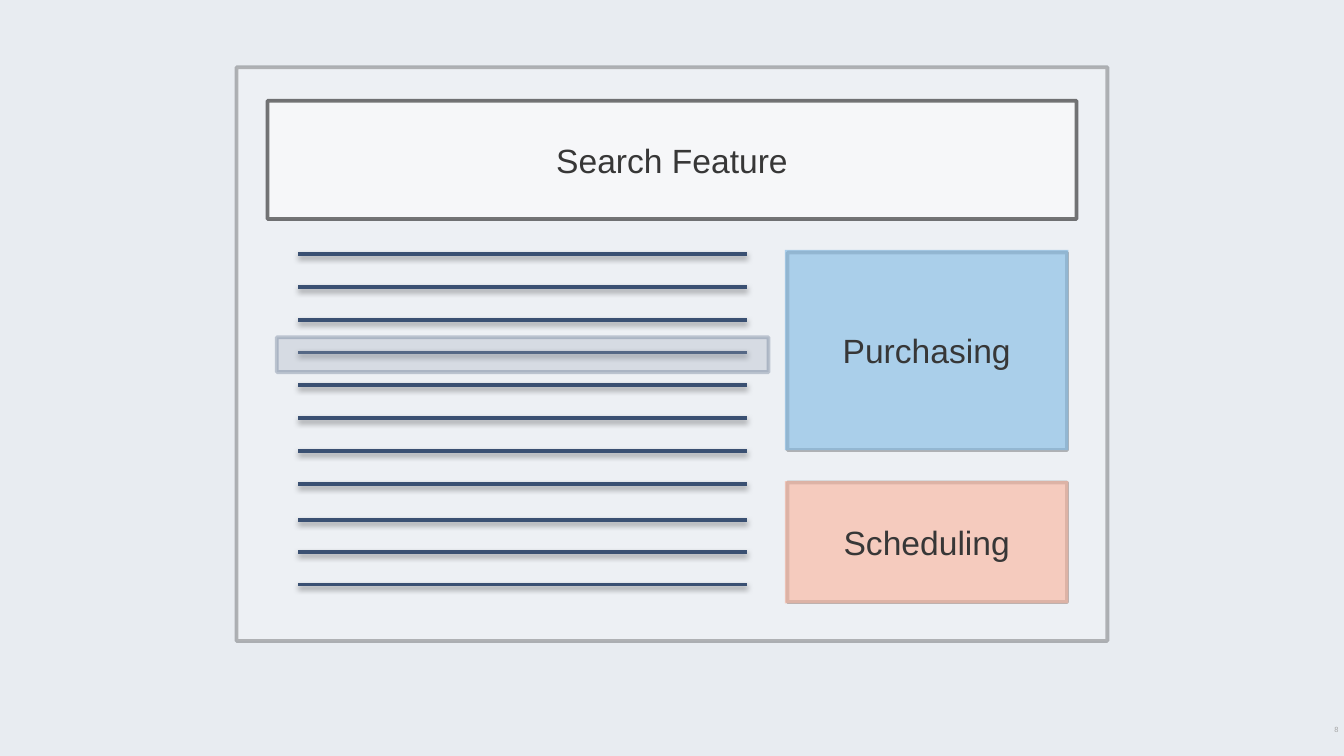
from lxml import etree
from pptx import Presentation
from pptx.dml.color import RGBColor
from pptx.enum import shapes, text
from pptx.oxml import ns
from pptx.util import Inches, Pt

INK = "373737"
NAVY = "3A5072"


def paint(fill, hue, alpha=100):
    """Give a fill a solid colour, with its opacity in percent."""
    fill.solid()
    fill.fore_color.rgb = RGBColor.from_string(hue)
    if alpha < 100:
        node = fill._xPr.find(".//" + ns.qn("a:srgbClr"))
        etree.SubElement(node, ns.qn("a:alpha"), val=str(alpha * 1000))


def write(shape, words, size, hue, align):
    frame = shape.text_frame
    frame.word_wrap = True
    frame.vertical_anchor = text.MSO_ANCHOR.MIDDLE
    frame.margin_left = frame.margin_right = 0
    frame.margin_top = frame.margin_bottom = 0
    para = frame.paragraphs[0]
    para.text = words
    para.alignment = align
    para.font.name = "Arial"
    para.font.size = Pt(size)
    para.font.color.rgb = RGBColor.from_string(hue)


def add_box(parent, place, hue, alpha, edge=None, label=None):
    """Add a see-through rectangle; its edge shares the fill's opacity."""
    box = parent.shapes.add_shape(
        shapes.MSO_SHAPE.RECTANGLE, *map(Inches, place))
    box.shadow.inherit = False
    paint(box.fill, hue, alpha)
    if edge:
        box.line.width = Pt(2)
        paint(box.line.fill, edge, alpha)
    else:
        box.line.fill.background()
    if label:
        write(box, label, 18, INK, text.PP_ALIGN.CENTER)


def add_rule(slide, left, right, top):
    """Add a horizontal line with a soft shadow below it."""
    rule = slide.shapes.add_connector(
        shapes.MSO_CONNECTOR.STRAIGHT,
        Inches(left), Inches(top), Inches(right), Inches(top))
    rule.line.width = Pt(2)
    paint(rule.line.fill, NAVY)
    effects = etree.SubElement(rule._element.spPr, ns.qn("a:effectLst"))
    shade = etree.SubElement(
        effects, ns.qn("a:outerShdw"), blurRad=str(Pt(3)),
        dist=str(Pt(1.6)), dir="5400000", rotWithShape="0")
    color = etree.SubElement(shade, ns.qn("a:srgbClr"), val="000000")
    etree.SubElement(color, ns.qn("a:alpha"), val="38000")


def add_number(slide, words):
    box = slide.shapes.add_textbox(
        Inches(7.63), Inches(5.34), Inches(2.33), Inches(0.17))
    write(box, words, 4, "A6A6A6", text.PP_ALIGN.RIGHT)


def main():
    deck = Presentation()
    deck.slide_width = Inches(10)
    deck.slide_height = deck.slide_width * 9 // 16
    slide = deck.slides.add_slide(deck.slide_layouts[6])
    paint(slide.background.fill, "E8ECF1")

    add_number(slide, "8")
    add_box(slide, (1.76, 0.5, 6.48, 4.27), "FFFFFF", 26, "000000")
    add_box(slide, (1.99, 0.75, 6.02, 0.88), "FFFFFF", 53, "000000",
            "Search Feature")

    for first, last, count in ((1.89, 3.6, 8), (3.87, 4.35, 3)):
        step = (last - first) / (count - 1)
        for row in range(count):
            add_rule(slide, 2.22, 5.56, first + row * step)

    frames = slide.shapes.add_group_shape()
    for top, height in ((1.88, 1.47), (3.59, 0.89)):
        add_box(frames, (5.86, top, 2.08, height), "FFFFFF", 26, "000000")
    for top, height, hue, label in (
            (1.86, 1.49, "80B9E4", "Purchasing"),
            (3.58, 0.91, "F8B39D", "Scheduling")):
        add_box(slide, (5.84, top, 2.11, height), hue, 62, label=label)

    add_box(slide, (2.06, 2.51, 3.66, 0.26), "9DA8B9", 28, NAVY)
    deck.save("out.pptx")


if __name__ == "__main__":
    main()
